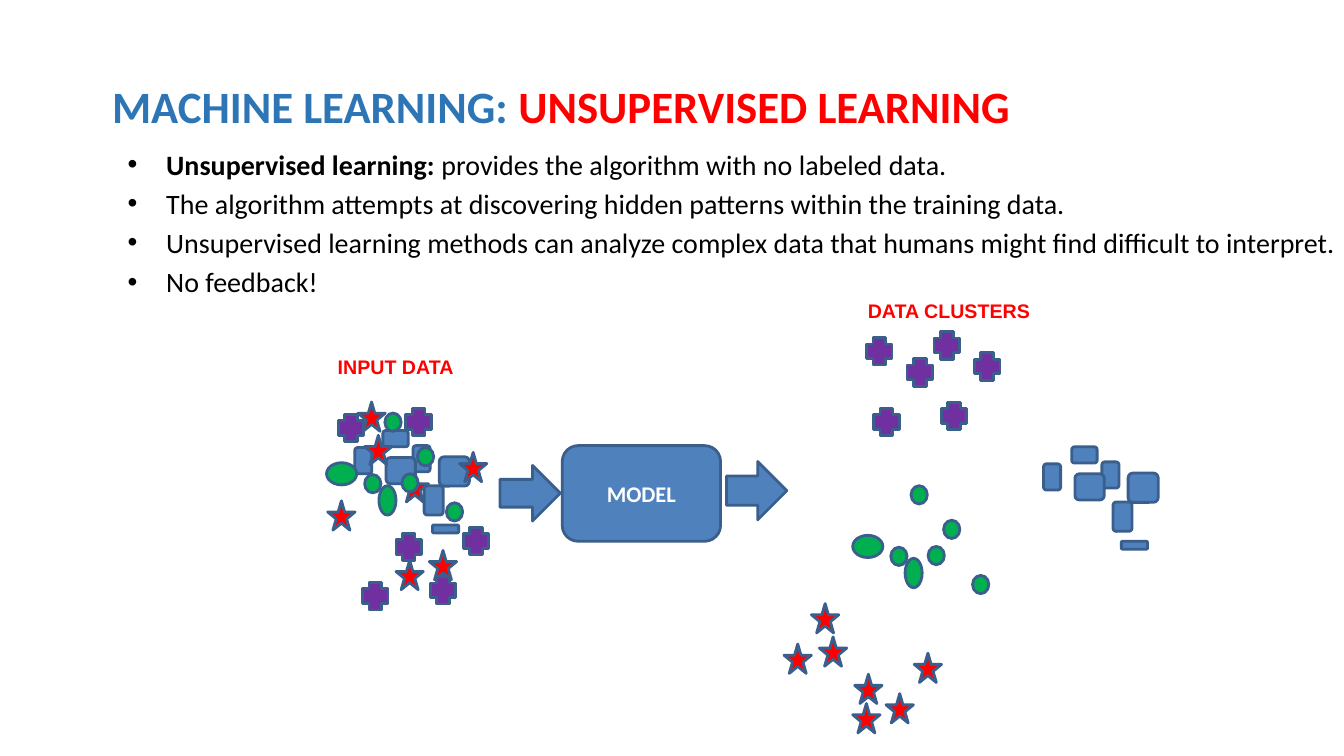
from typing import NamedTuple

from lxml import etree
from pptx import Presentation
from pptx import util as u
from pptx.dml import color
from pptx.enum import shapes, text
from pptx.oxml import ns

COLORS = {"blue": "4F81BD", "outline": "3A5F8C", "red": "FF0000", "green": "00B050",
          "purple": "7030A0", "heading": "2E75B6", "black": "000000", "white": "FFFFFF"}
KIND = shapes.MSO_SHAPE


class Box(NamedTuple):
    """Place and size in centimetres."""
    left: float
    top: float
    width: float
    height: float

    def shifted(self, dx: float, dy: float) -> "Box":
        """Return the same box moved by dx and dy."""
        return self._replace(left=self.left + dx, top=self.top + dy)

    def lengths(self) -> list:
        """Return the four values as lengths."""
        return [u.Cm(value) for value in self]


class Run(NamedTuple):
    """A piece of text with its format."""
    words: str
    size: int
    tint: str
    bold: bool = True
    font: str = "Calibri"


class Family(NamedTuple):
    """One kind of data point, mixed in the input and grouped in its cluster."""
    kind: shapes.MSO_SHAPE
    tint: str
    mixed: list
    cluster: list


def rgb(name: str) -> color.RGBColor:
    """Look up a colour by name."""
    return color.RGBColor.from_string(COLORS[name])


def apply(target, values: dict) -> None:
    """Set every attribute in the dict on the target."""
    for name, value in values.items():
        setattr(target, name, value)


def add_runs(paragraph, runs: list) -> None:
    """Write formatted runs into a paragraph."""
    for item in runs:
        run = paragraph.add_run()
        run.text = item.words
        apply(run.font, {"size": u.Pt(item.size), "bold": item.bold, "name": item.font})
        run.font.color.rgb = rgb(item.tint)


def add_bullet(paragraph) -> None:
    """Give a paragraph a round bullet with a hanging indent."""
    properties = paragraph._p.get_or_add_pPr()
    properties.set("marL", str(u.Cm(0.97)))
    properties.set("indent", str(u.Cm(-0.97)))
    etree.SubElement(properties, ns.qn("a:buFont"), typeface="Arial")
    etree.SubElement(properties, ns.qn("a:buChar"), char="•")


def draw_shape(slide, kind: shapes.MSO_SHAPE, box: Box, tint: str = "blue"):
    """Draw an outlined preset shape."""
    shape = slide.shapes.add_shape(kind, *box.lengths())
    shape.shadow.inherit = False
    shape.fill.solid()
    shape.fill.fore_color.rgb = rgb(tint)
    shape.line.color.rgb = rgb("outline")
    shape.line.width = u.Pt(2)
    return shape


def draw_title(slide, box: Box, runs: list) -> None:
    """Place and format the title placeholder."""
    title = slide.shapes.title
    apply(title, dict(zip(("left", "top", "width", "height"), box.lengths())))
    apply(title.text_frame, {"vertical_anchor": text.MSO_ANCHOR.MIDDLE, "word_wrap": True,
                             "auto_size": text.MSO_AUTO_SIZE.NONE})
    heading = title.text_frame.paragraphs[0]
    apply(heading, {"alignment": text.PP_ALIGN.LEFT, "line_spacing": 0.9})
    add_runs(heading, runs)


def draw_bullets(slide, box: Box, points: list) -> None:
    """Draw the bulleted statements."""
    frame = slide.shapes.add_textbox(*box.lengths()).text_frame
    frame.word_wrap = True
    for index, runs in enumerate(points):
        point = frame.add_paragraph() if index else frame.paragraphs[0]
        point.space_before = u.Pt(4)
        add_bullet(point)
        add_runs(point, runs)


def draw_label(slide, box: Box, words: str) -> None:
    """Draw a red caption above a group of data points."""
    frame = slide.shapes.add_textbox(*box.lengths()).text_frame
    apply(frame, {"word_wrap": False, "auto_size": text.MSO_AUTO_SIZE.SHAPE_TO_FIT_TEXT})
    add_runs(frame.paragraphs[0], [Run(words, 14, "red", font="Arial")])


def draw_model(slide, box: Box) -> None:
    """Draw the model block with its name."""
    frame = draw_shape(slide, KIND.ROUNDED_RECTANGLE, box).text_frame
    frame.vertical_anchor = text.MSO_ANCHOR.MIDDLE
    frame.paragraphs[0].alignment = text.PP_ALIGN.CENTER
    add_runs(frame.paragraphs[0], [Run("MODEL", 16, "white")])


def sized(places: list, width: float, height: float) -> list[Box]:
    """Give every place the same size."""
    return [Box(left, top, width, height) for left, top in places]


def moved(boxes: list[Box], dx: float, dy: float) -> list[Box]:
    """Move a whole group of boxes."""
    return [box.shifted(dx, dy) for box in boxes]


def pairs(places: list) -> list[Box]:
    """Add to every cross its partner, to the right and slightly higher."""
    return [box.shifted(step * 1.7, step * -0.15)
            for box in sized(places, 0.64, 0.69) for step in range(2)]


BLOCKS = [Box(10.41, 11.23, 0.43, 0.66), Box(10.69, 12.24, 0.48, 0.74),
          Box(11.07, 11.51, 0.76, 0.74), Box(10.9, 13.23, 0.66, 0.2),
          Box(8.94, 11.28, 0.43, 0.66), Box(9.65, 10.85, 0.64, 0.41),
          Box(9.73, 11.53, 0.74, 0.66)]
OVALS = [Box(9.55, 12.24, 0.43, 0.74),
         *sized([(10.13, 11.94), (11.25, 12.67), (9.7, 10.41), (9.19, 11.96),
                 (10.52, 11.28)], 0.41, 0.46),
         Box(8.23, 11.66, 0.76, 0.56)]
MIXED_STARS = [(9.98, 14.12), (10.82, 13.87), (9.19, 10.97), (10.11, 11.91),
               (11.58, 11.4), (8.26, 12.62), (9.02, 10.13)]
CLUSTER_STARS = [(21.49, 17.73), (22.33, 17.48), (20.65, 16.05), (21.54, 16.99),
                 (23.04, 16.46), (19.76, 16.23), (20.45, 15.21)]
FAMILIES = [
    Family(KIND.ROUNDED_RECTANGLE, "blue", BLOCKS, moved(BLOCKS, 17.36, 0.41)),
    Family(KIND.STAR_5_POINT, "red", sized(MIXED_STARS, 0.69, 0.74),
           sized(CLUSTER_STARS, 0.69, 0.74)),
    Family(KIND.OVAL, "green", OVALS, moved(OVALS, 13.26, 1.83)),
    Family(KIND.CROSS, "purple", pairs([(9.98, 13.44), (8.53, 10.44), (9.14, 14.68)]),
           pairs([(22.86, 9.04), (21.84, 8.51), (22.02, 10.29)])),
]
POINTS = [
    [Run("Unsupervised learning: ", 20, "black"),
     Run("provides the algorithm with no labeled data.", 20, "black", False)],
    *([Run(words, 20, "black", False)] for words in (
        "The algorithm attempts at discovering hidden patterns within the training data.",
        "Unsupervised learning methods can analyze complex data that humans might find "
        "difficult to interpret. ",
        "No feedback!")),
]


def main() -> None:
    """Build and save the slide."""
    deck = Presentation()
    apply(deck, {"slide_width": u.Cm(33.87), "slide_height": u.Cm(19.05)})
    slide = deck.slides.add_slide(deck.slide_layouts.get_by_name("Title Only"))
    draw_title(slide, Box(2.57, 0.91, 24.56, 3.68),
               [Run("MACHINE LEARNING: ", 32, "heading"),
                Run("UNSUPERVISED LEARNING", 32, "red")])
    draw_bullets(slide, Box(2.97, 3.58, 31.55, 12.57), POINTS)
    draw_model(slide, Box(14.17, 11.23, 3.99, 2.41))
    for arrow in (Box(18.31, 11.63, 1.52, 1.47), Box(12.6, 11.73, 1.52, 1.4)):
        draw_shape(slide, KIND.RIGHT_ARROW, arrow)
    for family in FAMILIES:
        for box in family.mixed:
            draw_shape(slide, family.kind, box, family.tint)
    for family in FAMILIES:
        for box in family.cluster:
            draw_shape(slide, family.kind, box, family.tint)
    draw_label(slide, Box(8.26, 8.81, 3.58, 0.86), "INPUT DATA")
    draw_label(slide, Box(21.62, 7.42, 4.62, 0.86), "DATA CLUSTERS")
    deck.save("out.pptx")


main()
